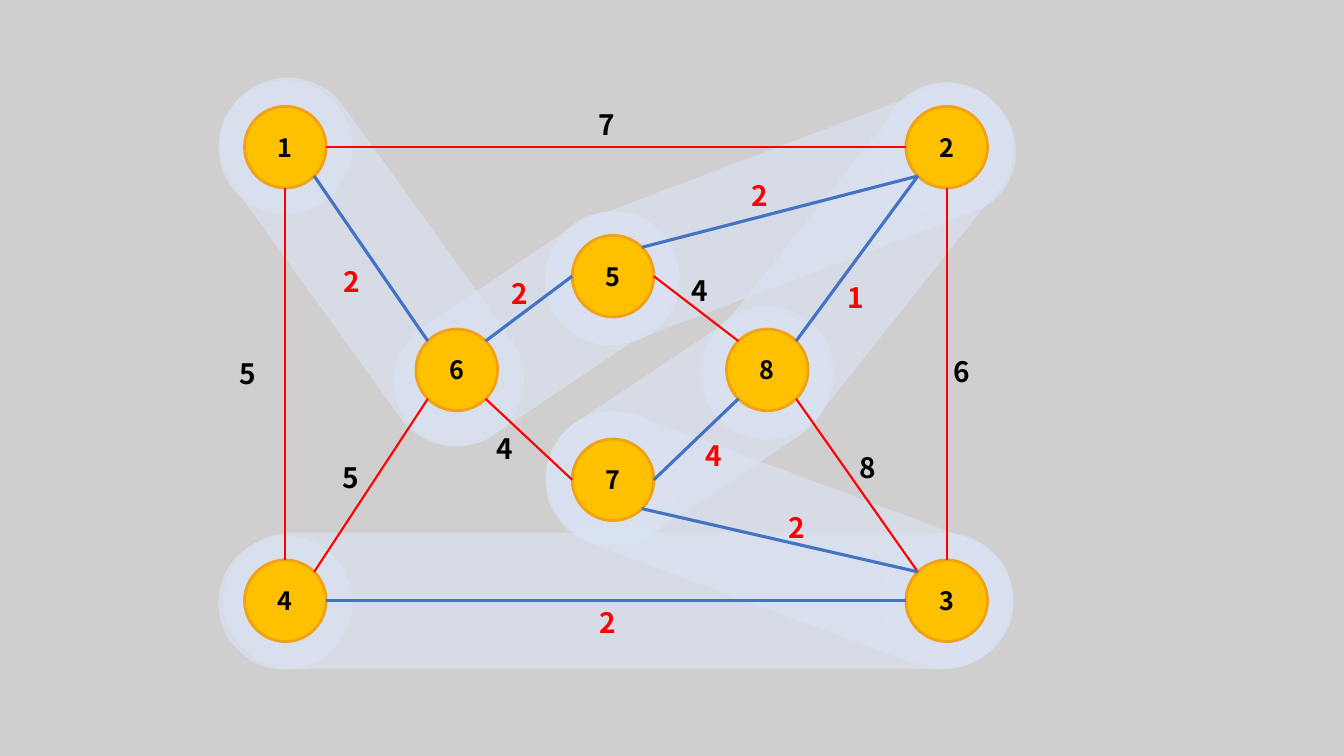
from math import cos, radians, sin

from lxml import etree
from pptx import Presentation
from pptx.dml import color
from pptx.enum import shapes, text
from pptx.oxml import ns
from pptx.util import Inches, Pt

COLORS = {"back": "D0CECE", "halo": "DAE3F3", "node": "FFC000", "rim": "F1A116",
          "text": "000000", "unused": "FF0000", "tree": "4472C4"}
FONT = "Noto Sans CJK KR"
NODE, HALO = 0.81, 1.33
BOX = (2.83, 1.46)
ANGLES = {d: 45 * i for i, d in enumerate(["E", "SE", "S", "SW", "W", "NW", "N", "NE"])}

NODES = {"1": (0, 0), "2": (6.56, 0), "3": (6.56, 4.5), "4": (0, 4.5),
         "5": (3.25, 1.28), "6": (1.7, 2.21), "7": (3.25, 3.3), "8": (4.78, 2.21)}

# center x, center y, width, length, rotation, node circled at one end, circle drop
BANDS = [
    (3.3, 4.5, 1.35, 7.83, 270, "4", 0.02),
    (4.88, 3.9, 1.35, 4.82, 290.4, "3", 0),
    (4, 2.79, 1.34, 3.12, 236.3, "7", -0.02),
    (5.68, 1.13, 1.29, 4.15, 218.5, "8", 0.03),
    (4.91, 0.68, 1.29, 4.91, 249.3, "2", 0.02),
    (2.49, 1.8, 1.28, 3.15, 236, "5", 0.02),
    (0.86, 1.14, 1.35, 4.2, 324.2, "1", 0),
]

# from node, side, to node, side, weight, label center, in the spanning tree
EDGES = [
    ("1", "E", "2", "W", "7", (3.19, -0.22), False),
    ("1", "SE", "6", "NW", "2", (0.66, 1.33), True),
    ("4", "NE", "6", "SW", "5", (0.65, 3.28), False),
    ("4", "N", "1", "S", "5", (-0.37, 2.25), False),
    ("4", "E", "3", "W", "2", (3.2, 4.72), True),
    ("6", "SE", "7", "W", "4", (2.18, 2.99), False),
    ("6", "NE", "5", "W", "2", (2.33, 1.45), True),
    ("5", "E", "8", "NW", "4", (4.11, 1.42), False),
    ("8", "SE", "3", "NW", "8", (5.78, 3.18), False),
    ("8", "NE", "2", "SW", "1", (5.66, 1.49), True),
    ("3", "N", "2", "S", "6", (6.71, 2.23), False),
    ("7", "E", "8", "SW", "4", (4.25, 3.06), True),
    ("5", "NE", "2", "SW", "2", (4.71, 0.48), True),
    ("7", "SE", "3", "NW", "2", (5.07, 3.78), True),
]


def rgb(name):
    """Return the named colour."""
    return color.RGBColor.from_string(COLORS[name])


def centered(box, point, w, h):
    """Return left, top, width and height around a point of the box."""
    return [Inches(v) for v in (box[0] + point[0] - w / 2, box[1] + point[1] - h / 2, w, h)]


def write(tf, words, size, name):
    """Write one bold run into a text frame."""
    p = tf.paragraphs[0]
    r = p.add_run()
    r.text = words
    for key, value in {"name": FONT, "size": Pt(size), "bold": True}.items():
        setattr(r.font, key, value)
    r.font.color.rgb = rgb(name)
    return p


def add_filled(s, kind, place, fill):
    """Add a flat shape without a line."""
    sp = s.shapes.add_shape(kind, *place)
    sp.shadow.inherit = False
    sp.fill.solid()
    sp.fill.fore_color.rgb = rgb(fill)
    sp.line.fill.background()
    return sp


def add_halo(s, kind, place):
    """Add a translucent halo shape."""
    sp = add_filled(s, kind, place, "halo")
    clr = sp.fill._xPr.find(".//" + ns.qn("a:srgbClr"))
    etree.SubElement(clr, ns.qn("a:alpha"), val="63000")
    return sp


def add_bands(s, box):
    """Draw the halos that follow the spanning tree."""
    for x, y, w, length, turn, node, drop in BANDS:
        sp = add_halo(s, shapes.MSO_SHAPE.ROUNDED_RECTANGLE, centered(box, (x, y), w, length))
        sp.adjustments[0] = 0.5
        sp.rotation = turn
        nx, ny = NODES[node]
        add_halo(s, shapes.MSO_SHAPE.OVAL, centered(box, (nx, ny + drop), HALO, HALO))


def add_nodes(s, box):
    """Draw the numbered nodes."""
    for number, point in NODES.items():
        sp = add_filled(s, shapes.MSO_SHAPE.OVAL, centered(box, point, NODE, NODE), "node")
        sp.line.color.rgb = rgb("rim")
        sp.line.width = Pt(2)
        tf = sp.text_frame
        tf.vertical_anchor = text.MSO_ANCHOR.MIDDLE
        write(tf, number, 18, "text").alignment = text.PP_ALIGN.CENTER


def site(box, node, side):
    """Return the point on a node's rim at a compass side."""
    a = radians(ANGLES[side])
    x, y = NODES[node]
    return Inches(box[0] + x + NODE / 2 * cos(a)), Inches(box[1] + y + NODE / 2 * sin(a))


def add_edges(s, box):
    """Draw the weighted edges and their labels."""
    for start, side, end, end_side, weight, point, in_tree in EDGES:
        line = s.shapes.add_connector(shapes.MSO_CONNECTOR.STRAIGHT,
                                      *site(box, start, side), *site(box, end, end_side))
        line.line.color.rgb = rgb("tree" if in_tree else "unused")
        line.line.width = Pt(2.25 if in_tree else 1.5)
        etree.SubElement(line._element.spPr, ns.qn("a:effectLst"))
        tf = s.shapes.add_textbox(*centered(box, point, 0.36, 0.44)).text_frame
        for key, value in {"word_wrap": False,
                           "auto_size": text.MSO_AUTO_SIZE.SHAPE_TO_FIT_TEXT}.items():
            setattr(tf, key, value)
        write(tf, weight, 20, "unused" if in_tree else "text")


def add_graph_slide(prs, box):
    """Add the slide with the graph and its spanning tree."""
    s = prs.slides.add_slide(prs.slide_layouts[6])
    s.background.fill.solid()
    s.background.fill.fore_color.rgb = rgb("back")
    for draw in (add_bands, add_nodes, add_edges):
        draw(s, box)


def main():
    """Build and save the presentation."""
    prs = Presentation()
    prs.slide_width, prs.slide_height = Inches(13.33), Inches(7.5)
    add_graph_slide(prs, BOX)
    prs.save("out.pptx")


if __name__ == "__main__":
    main()
